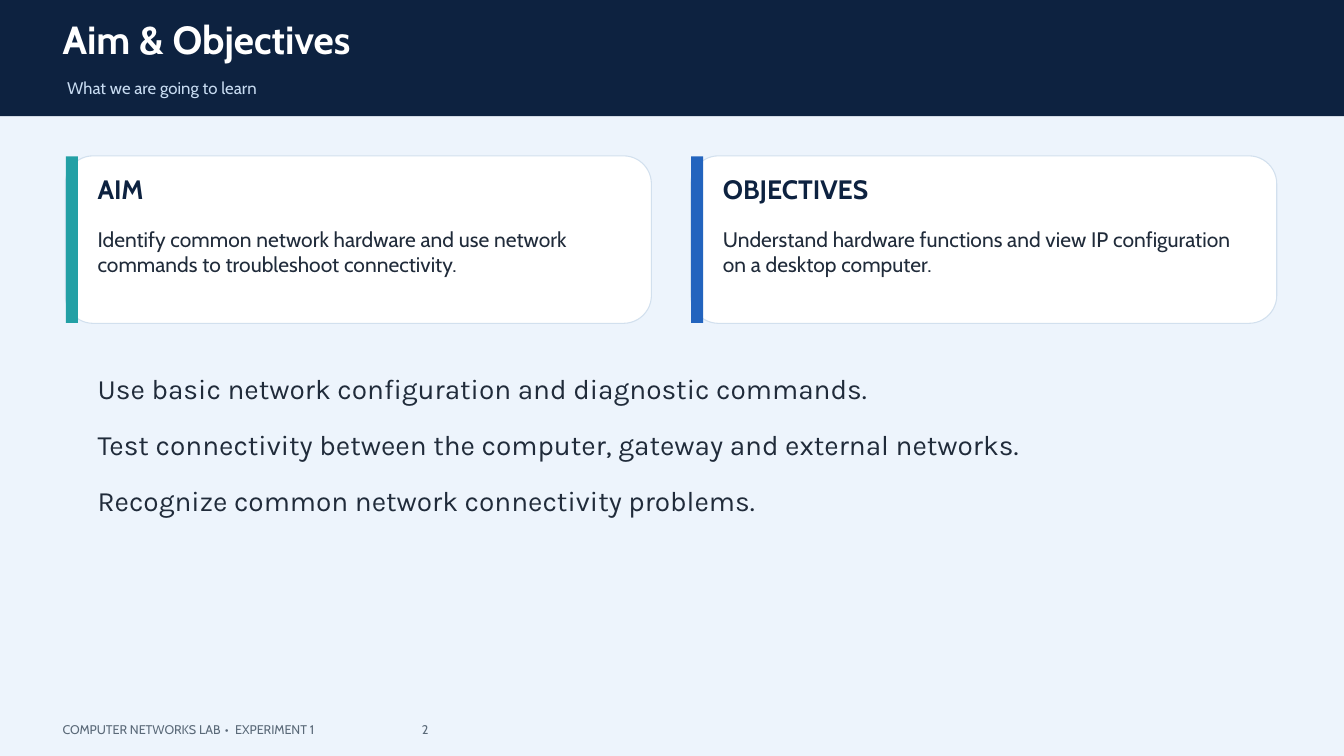
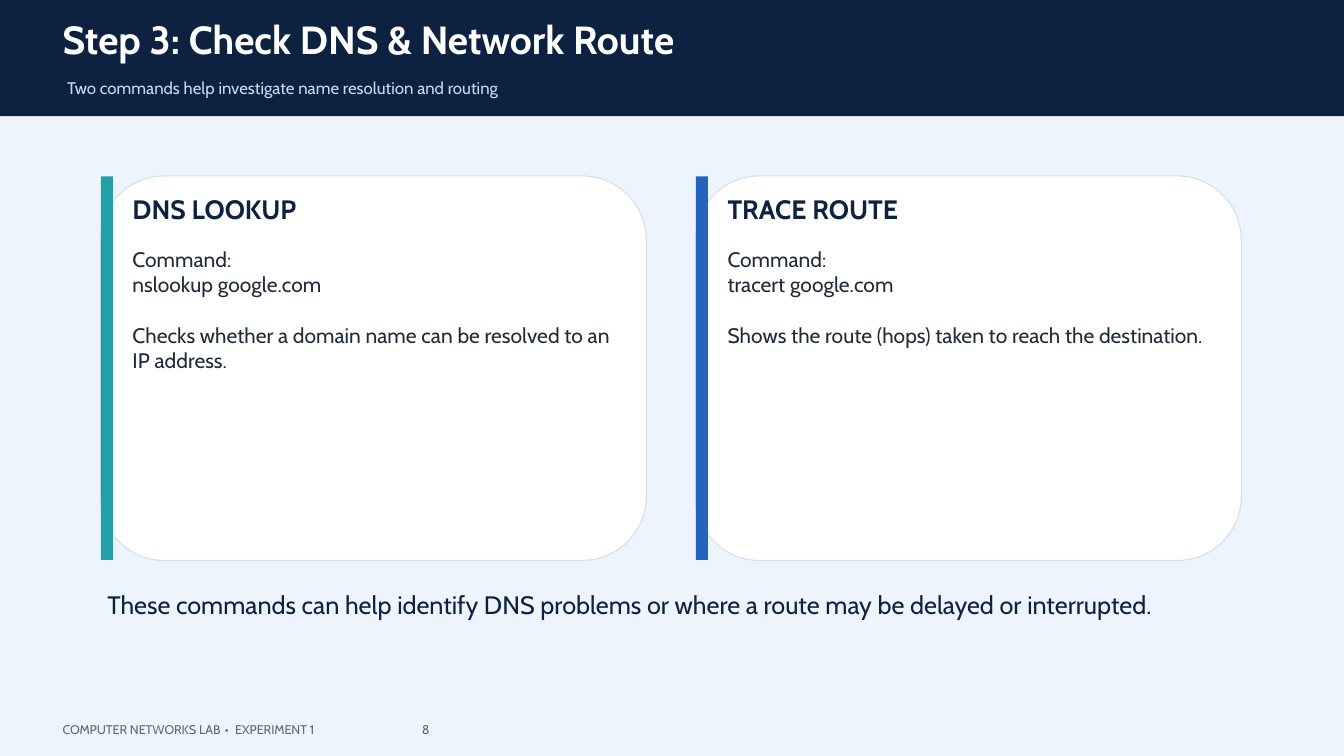
from dataclasses import dataclass

from lxml.etree import SubElement
from pptx import Presentation
from pptx.dml.color import RGBColor
from pptx.enum.shapes import MSO_SHAPE as Preset
from pptx.enum.text import MSO_ANCHOR as Anchor, MSO_AUTO_SIZE as AutoSize
from pptx.oxml.ns import qn
from pptx.shapes.autoshape import Shape
from pptx.slide import Slide
from pptx.util import Pt


@dataclass(frozen=True)
class Style:
    size: float
    color: str
    font: str = "Cabin"
    bold: bool = False


@dataclass(frozen=True)
class Theme:
    paper: str = "EDF4FC"
    navy: str = "0D2240"
    white: str = "FFFFFF"
    edge: str = "D2E0EE"
    accents: tuple[str, ...] = ("23A0A5", "2364BE")
    title: Style = Style(42, "FFFFFF", bold=True)
    subtitle: Style = Style(18, "C8DCF2")
    heading: Style = Style(28.5, "0D2240", bold=True)
    body: Style = Style(22.5, "202B3A")
    goal: Style = Style(30, "202B3A", font="Karla")
    takeaway: Style = Style(27, "0D2240")
    footer: Style = Style(13.5, "5A6978")


@dataclass(frozen=True)
class Box:
    left: float
    top: float
    width: float
    height: float


@dataclass(frozen=True)
class Line:
    text: str
    before: float = 0


@dataclass(frozen=True)
class Card:
    heading: str
    lines: tuple[Line, ...]


@dataclass(frozen=True)
class CardRow:
    first: Box
    pitch: float
    cards: tuple[Card, ...]


@dataclass(frozen=True)
class Lesson:
    number: int
    title: str
    subtitle: str
    row: CardRow
    closing: tuple[Line, ...]
    closing_box: Box
    closing_style: Style


THEME = Theme()
WIDTH, HEIGHT = 1440, 810
BAND = Box(0, 0, WIDTH, 124.5)
TITLE = Box(67, 16.5, 1304, 59)
SUBTITLE = Box(72, 83.5, 1282, 28)
FOOTER = Box(67, 774, 1304, 19)
FOOTER_TABS = (174, 185, 385)
LEADING = 1.2
FRAME_FORMAT = {
    "margin_left": 0, "margin_top": 0, "margin_right": 0, "margin_bottom": 0,
    "word_wrap": True, "vertical_anchor": Anchor.TOP,
    "auto_size": AutoSize.SHAPE_TO_FIT_TEXT,
}

LESSONS = (
    Lesson(
        2, "Aim & Objectives", "What we are going to learn",
        CardRow(Box(70, 167, 628, 179.5), 670, (
            Card("AIM", (Line(
                "Identify common network hardware and use network commands "
                "to troubleshoot connectivity."),)),
            Card("OBJECTIVES", (Line(
                "Understand hardware functions and view IP configuration "
                "on a desktop computer."),)),
        )),
        (
            Line("Use basic network configuration and diagnostic commands."),
            Line("Test connectivity between the computer, gateway and external networks.", 24),
            Line("Recognize common network connectivity problems.", 24),
        ),
        Box(104.5, 398, 1228, 295), THEME.goal,
    ),
    Lesson(
        8, "Step 3: Check DNS & Network Route",
        "Two commands help investigate name resolution and routing",
        CardRow(Box(107.5, 188.5, 585, 412), 637.5, (
            Card("DNS LOOKUP", (
                Line("Command:"),
                Line("nslookup google.com"),
                Line("Checks whether a domain name can be resolved to an IP address.", 27),
            )),
            Card("TRACE ROUTE", (
                Line("Command:"),
                Line("tracert google.com"),
                Line("Shows the route (hops) taken to reach the destination.", 27),
            )),
        )),
        (Line("These commands can help identify DNS problems or where a route "
              "may be delayed or interrupted."),),
        Box(115, 631.5, 1218, 62), THEME.takeaway,
    ),
)


def apply(target: object, values: dict[str, object]) -> None:
    for name, value in values.items():
        setattr(target, name, value)


def place(box: Box) -> tuple[Pt, ...]:
    return tuple(Pt(value) for value in (box.left, box.top, box.width, box.height))


def add_panel(page: Slide, preset: Preset, box: Box, fill: str, edge: str = "") -> Shape:
    panel = page.shapes.add_shape(preset, *place(box))
    panel.shadow.inherit = False
    panel.fill.solid()
    panel.fill.fore_color.rgb = RGBColor.from_string(fill)
    if edge:
        panel.line.color.rgb = RGBColor.from_string(edge)
        panel.line.width = Pt(1.13)
    else:
        panel.line.fill.background()
    return panel


def add_text(page: Slide, box: Box, lines: tuple[Line, ...], style: Style,
             tabs: tuple[float, ...] = ()) -> None:
    frame = page.shapes.add_textbox(*place(box)).text_frame
    apply(frame, FRAME_FORMAT)
    for index, line in enumerate(lines):
        para = frame.add_paragraph() if index else frame.paragraphs[0]
        para.line_spacing = Pt(style.size * LEADING)
        if line.before:
            para.space_before = Pt(line.before)
        if tabs:
            stops = SubElement(para._p.get_or_add_pPr(), qn("a:tabLst"))
            for tab in tabs:
                SubElement(stops, qn("a:tab"), pos=str(Pt(tab)), algn="l")
        span = para.add_run()
        span.text = line.text
        apply(span.font, {"name": style.font, "size": Pt(style.size), "bold": style.bold})
        span.font.color.rgb = RGBColor.from_string(style.color)


def add_card(page: Slide, box: Box, card: Card, accent: str) -> None:
    add_panel(page, Preset.ROUNDED_RECTANGLE, box, THEME.white, THEME.edge)
    bar = Box(box.left + 0.5, box.top + 0.5, 13, box.height - 1)
    add_panel(page, Preset.RECTANGLE, bar, accent)
    left, width = box.left + 34.5, box.width - 58.5
    add_text(page, Box(left, box.top + 18.5, width, 46), (Line(card.heading),), THEME.heading)
    add_text(page, Box(left, box.top + 75.5, width, box.height - 90), card.lines, THEME.body)


def add_lesson(deck: Presentation, lesson: Lesson) -> None:
    page = deck.slides.add_slide(deck.slide_layouts[6])
    page.background.fill.solid()
    page.background.fill.fore_color.rgb = RGBColor.from_string(THEME.paper)
    add_panel(page, Preset.RECTANGLE, BAND, THEME.navy)
    add_text(page, TITLE, (Line(lesson.title),), THEME.title)
    add_text(page, SUBTITLE, (Line(lesson.subtitle),), THEME.subtitle)
    first = lesson.row.first
    for index, (card, accent) in enumerate(zip(lesson.row.cards, THEME.accents)):
        left = first.left + index * lesson.row.pitch
        add_card(page, Box(left, first.top, first.width, first.height), card, accent)
    add_text(page, lesson.closing_box, lesson.closing, lesson.closing_style)
    footer = Line(f"COMPUTER NETWORKS LAB\t•\tEXPERIMENT 1\t{lesson.number}")
    add_text(page, FOOTER, (footer,), THEME.footer, FOOTER_TABS)


def main() -> None:
    deck = Presentation()
    apply(deck, {"slide_width": Pt(WIDTH), "slide_height": Pt(HEIGHT)})
    for lesson in LESSONS:
        add_lesson(deck, lesson)
    deck.save("out.pptx")


if __name__ == "__main__":
    main()
